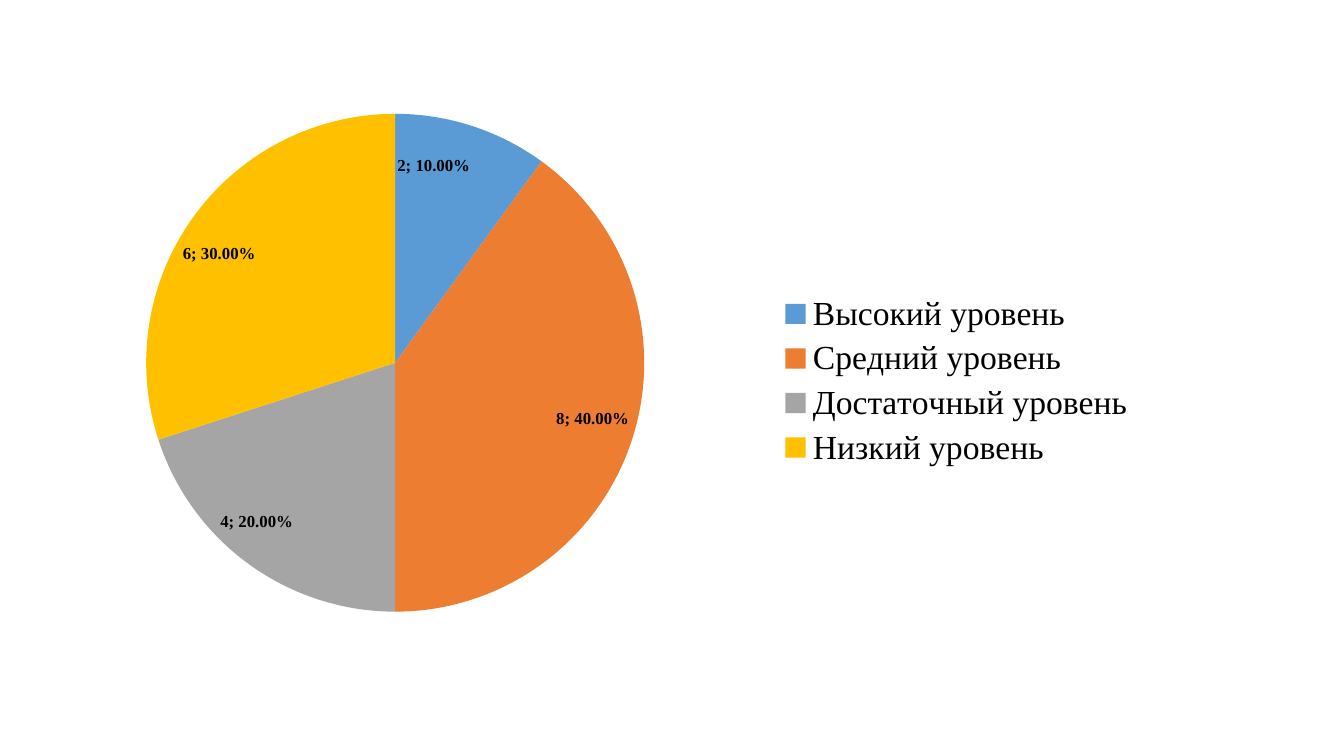
from lxml.etree import SubElement
from pptx import Presentation
from pptx.chart.data import CategoryChartData
from pptx.dml.color import RGBColor
from pptx.enum.chart import XL_CHART_TYPE as ChartType
from pptx.enum.chart import XL_LABEL_POSITION as LabelPosition
from pptx.enum.chart import XL_LEGEND_POSITION as LegendPosition
from pptx.oxml import parse_xml
from pptx.oxml.ns import nsdecls, qn
from pptx.util import Inches, Pt

LEVELS = [
    ("Высокий уровень", 2, "5B9BD5"),
    ("Средний уровень", 8, "ED7D31"),
    ("Достаточный уровень", 4, "A5A5A5"),
    ("Низкий уровень", 6, "FFC000"),
]
# Lengths in inches; the last three are measured inside the chart box.
SLIDE_SIZE = (13.33, 7.5)
CHART_BOX = (0.82, 0.86, 11.13, 5.6)
PLOT_BOX = {"x": 0.63, "y": 0.25, "w": 4.94, "h": 4.98}
LEGEND_CORNER = {"x": 6.86, "y": 2.0}
FIRST_LABEL_SHIFT = {"x": -0.76, "y": 0.54}
PERCENT_FORMAT = "0.00%"
THEME = {"font": "Times New Roman", "text": "000000", "label": 12, "legend": 24}


def style_font(font, size, bold=False):
    font.name = THEME["font"]
    font.size = Pt(size)
    font.bold = bold
    font.color.rgb = RGBColor.from_string(THEME["text"])


def manual_layout(lengths, **modes):
    """Return a c:layout element with lengths as fractions of the chart's size."""
    _, _, width, height = CHART_BOX
    totals = {"x": width, "y": height, "w": width, "h": height}
    fractions = {tag: round(length / totals[tag], 4) for tag, length in lengths.items()}
    layout = parse_xml(f"<c:layout {nsdecls('c')}/>")
    manual = SubElement(layout, qn("c:manualLayout"))
    for tag, value in {**modes, **fractions}.items():
        SubElement(manual, qn(f"c:{tag}")).set("val", str(value))
    return layout


def replace_layout(parent, position, layout):
    for old in parent.findall(qn("c:layout")):
        parent.remove(old)
    parent.insert(position, layout)


def show_value_and_percent(element):
    element.find(qn("c:showVal")).set("val", "1")
    element.find(qn("c:showPercent")).set("val", "1")
    separator = parse_xml(f"<c:separator {nsdecls('c')}>; </c:separator>")
    element.find(qn("c:showBubbleSize")).addnext(separator)


def label_slices(series):
    labels = series.data_labels
    labels.number_format = PERCENT_FORMAT
    labels.number_format_is_linked = False
    labels.position = LabelPosition.BEST_FIT
    labels.show_value = labels.show_percentage = True
    style_font(labels.font, THEME["label"], bold=True)

    first = series.points[0].data_label
    first.position = LabelPosition.BEST_FIT
    style_font(first.font, THEME["label"], bold=True)
    all_labels = series._element.find(qn("c:dLbls"))
    first_label = all_labels.find(qn("c:dLbl"))
    replace_layout(first_label, 1, manual_layout(FIRST_LABEL_SHIFT))
    first_label.insert(2, parse_xml(
        f'<c:numFmt {nsdecls("c")} formatCode="{PERCENT_FORMAT}" sourceLinked="0"/>'))
    for element in (all_labels, first_label):
        show_value_and_percent(element)


def add_level_pie(page):
    data = CategoryChartData()
    data.categories = [name for name, _, _ in LEVELS]
    data.add_series("Series 1", [count for _, count, _ in LEVELS])
    box = [Inches(length) for length in CHART_BOX]
    chart = page.shapes.add_chart(ChartType.PIE, *box, data).chart
    chart.has_title = False
    style_font(chart.font, THEME["label"])

    chart.has_legend = True
    chart.legend.position = LegendPosition.RIGHT
    chart.legend.include_in_layout = False
    style_font(chart.legend.font, THEME["legend"])

    plot = chart.plots[0]
    plot.vary_by_categories = True
    series = plot.series[0]
    for index, (_, _, color) in enumerate(LEVELS):
        fill = series.points[index].format.fill
        fill.solid()
        fill.fore_color.rgb = RGBColor.from_string(color)
    label_slices(series)

    edges = {"xMode": "edge", "yMode": "edge"}
    replace_layout(chart._chartSpace.chart.plotArea, 0,
                   manual_layout(PLOT_BOX, layoutTarget="inner", **edges))
    replace_layout(chart.legend._element, 1, manual_layout(LEGEND_CORNER, **edges))


def main():
    deck = Presentation()
    deck.slide_width, deck.slide_height = map(Inches, SLIDE_SIZE)
    page = deck.slides.add_slide(deck.slide_layouts[6])
    add_level_pie(page)
    deck.save("out.pptx")


if __name__ == "__main__":
    main()
